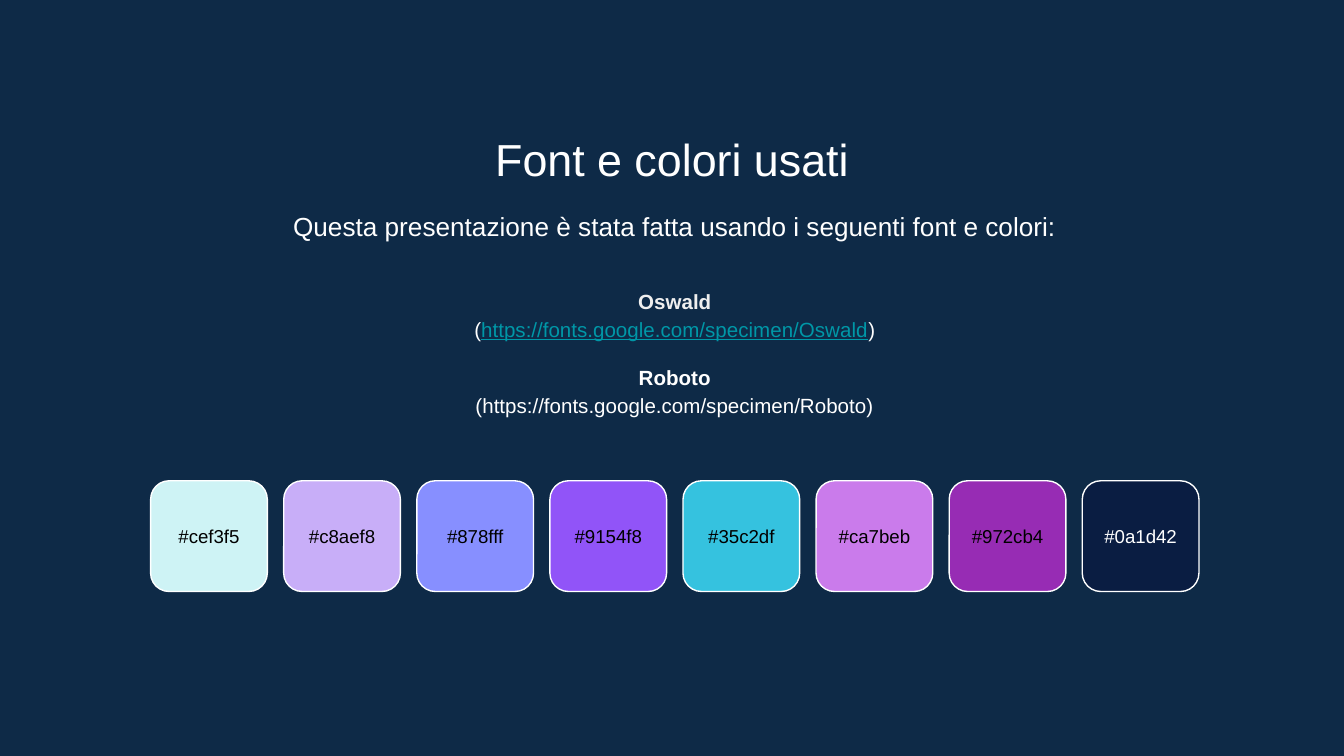
from pptx import Presentation
from pptx.dml.color import RGBColor
from pptx.enum.shapes import MSO_SHAPE
from pptx.enum.text import MSO_ANCHOR, MSO_AUTO_SIZE, PP_ALIGN
from pptx.util import Pt

FONT = "Arial"
WHITE, BLACK, GREY, TEAL, NAVY = "FFFFFF", "000000", "EFEFEF", "0097A7", "0E2A47"
URL = "https://fonts.google.com/specimen/"
COLORS = ["cef3f5", "c8aef8", "878fff", "9154f8",
          "35c2df", "ca7beb", "972cb4", "0a1d42"]


def color(code):
    return RGBColor.from_string(code.upper())


def paint(fill, code):
    fill.solid()
    fill.fore_color.rgb = color(code)


def set_frame(frame, anchor=MSO_ANCHOR.TOP, inset=7.2):
    frame.word_wrap = True
    frame.auto_size = MSO_AUTO_SIZE.NONE
    frame.vertical_anchor = anchor
    frame.margin_left = frame.margin_right = Pt(inset)
    frame.margin_top = frame.margin_bottom = Pt(inset)


def add_run(para, text, size, code=WHITE, bold=False, line=False):
    run = para.add_run()
    run.text = text
    font = run.font
    font.name, font.size, font.bold, font.underline = FONT, Pt(size), bold, line
    font.color.rgb = color(code)


def add_line(frame, runs, size, first=False, space=None, gap=0):
    """Add one centred paragraph; each run is (text, colour, bold, underline)."""
    para = frame.paragraphs[0] if first else frame.add_paragraph()
    para.alignment = PP_ALIGN.CENTER
    para.space_before = Pt(gap)
    if space:
        para.line_spacing = space
    for run in runs:
        add_run(para, run[0], size, *run[1:])


def add_title(slide, x, y, w, h):
    title = slide.shapes.title
    title.left, title.top, title.width, title.height = Pt(x), Pt(y), Pt(w), Pt(h)
    set_frame(title.text_frame)
    add_line(title.text_frame, [("Font e colori usati",)], 24, first=True)


def add_intro(slide, x, y, w, h):
    frame = slide.shapes.add_textbox(Pt(x), Pt(y), Pt(w), Pt(h)).text_frame
    set_frame(frame)
    text = "Questa presentazione è stata fatta usando i seguenti font e colori:"
    add_line(frame, [(text,)], 14, first=True, space=1.15)


def add_fonts(slide, x, y, w, h):
    frame = slide.shapes.add_textbox(Pt(x), Pt(y), Pt(w), Pt(h)).text_frame
    set_frame(frame, MSO_ANCHOR.MIDDLE)
    link = [("(",), (URL + "Oswald", TEAL, False, True), (")",)]
    add_line(frame, [("Oswald", GREY, True)], 11, first=True, space=1.15)
    add_line(frame, link, 11, space=1.15)
    add_line(frame, [("Roboto", WHITE, True)], 11, space=1.15, gap=10.5)
    add_line(frame, [(f"({URL}Roboto)",)], 11, space=1.15)


def add_swatches(slide, x, y, w, h, gap=8.8):
    side = (w - gap * (len(COLORS) - 1)) / len(COLORS)
    for i, code in enumerate(COLORS):
        left = x + i * (side + gap)
        tile = slide.shapes.add_shape(
            MSO_SHAPE.ROUNDED_RECTANGLE, Pt(left), Pt(y), Pt(side), Pt(h))
        tile.shadow.inherit = False
        paint(tile.fill, code)
        paint(tile.line.fill, WHITE)
        tile.line.width = Pt(0.75)
        # Black label on light tiles, white on the darkest one
        ink = WHITE if code == COLORS[-1] else BLACK
        set_frame(tile.text_frame, MSO_ANCHOR.MIDDLE, inset=0)
        add_line(tile.text_frame, [("#" + code, ink)], 10, first=True)


def main():
    deck = Presentation()
    deck.slide_width, deck.slide_height = Pt(720), Pt(405)
    slide = deck.slides.add_slide(deck.slide_layouts.get_by_name("Title Only"))
    paint(slide.background.fill, NAVY)

    # Heading and text
    add_title(slide, 82.5, 63.5, 555, 38)
    add_intro(slide, 84, 103, 555, 34.5)
    add_fonts(slide, 84, 139, 555, 98.5)

    # Row of colour tiles
    add_swatches(slide, 80.7, 257.6, 561.6, 59.3)
    deck.save("out.pptx")


if __name__ == "__main__":
    main()
